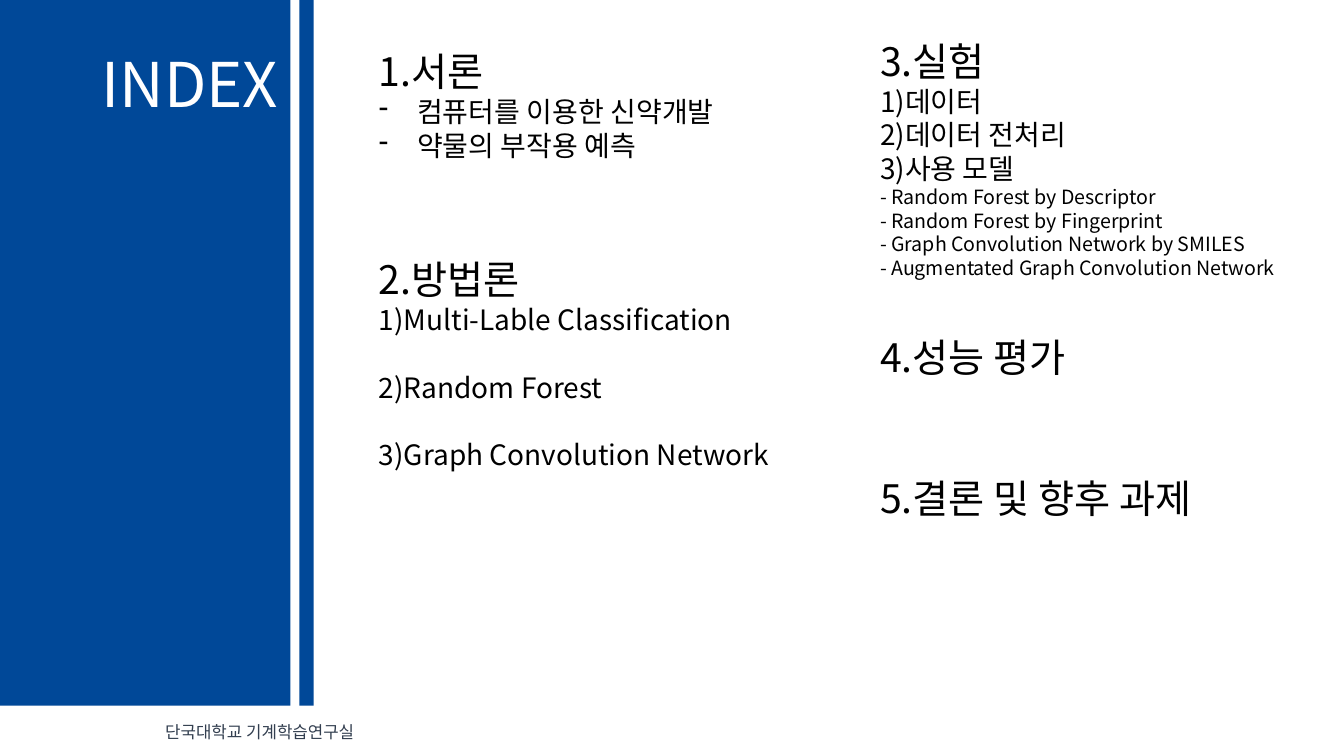
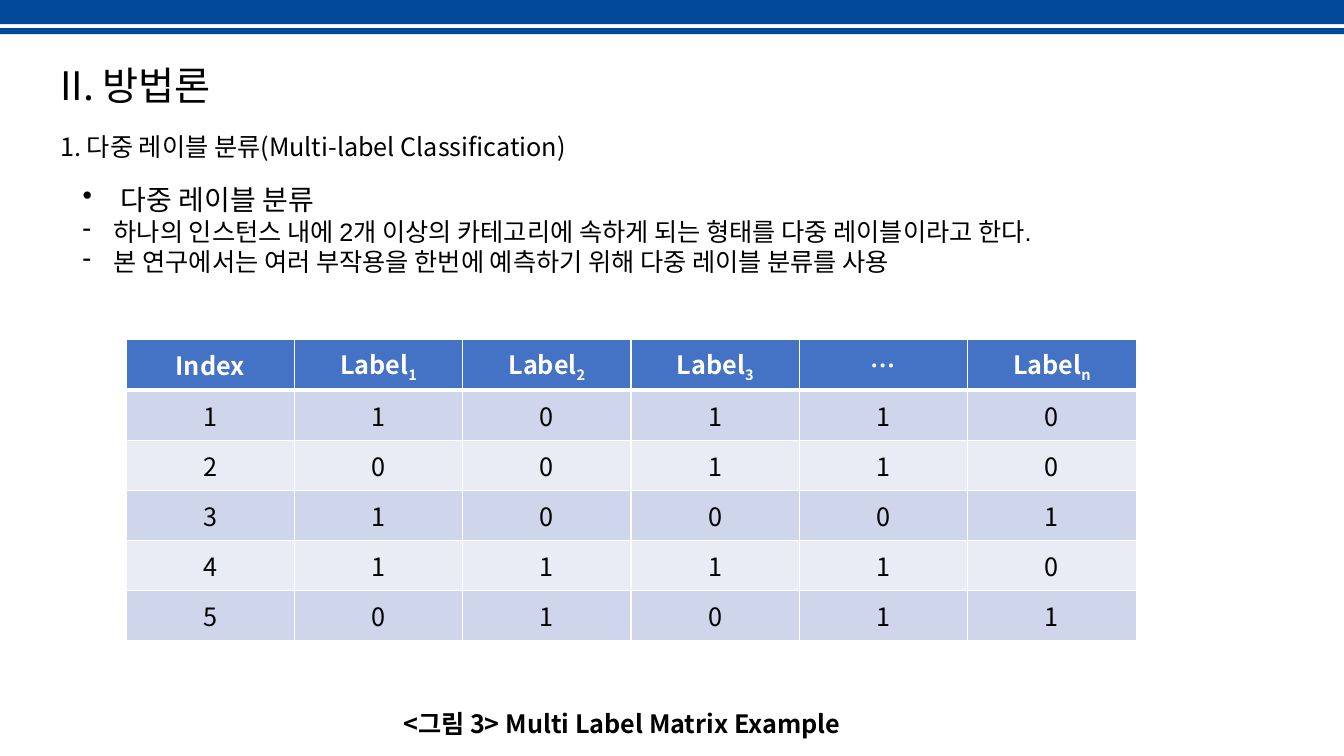
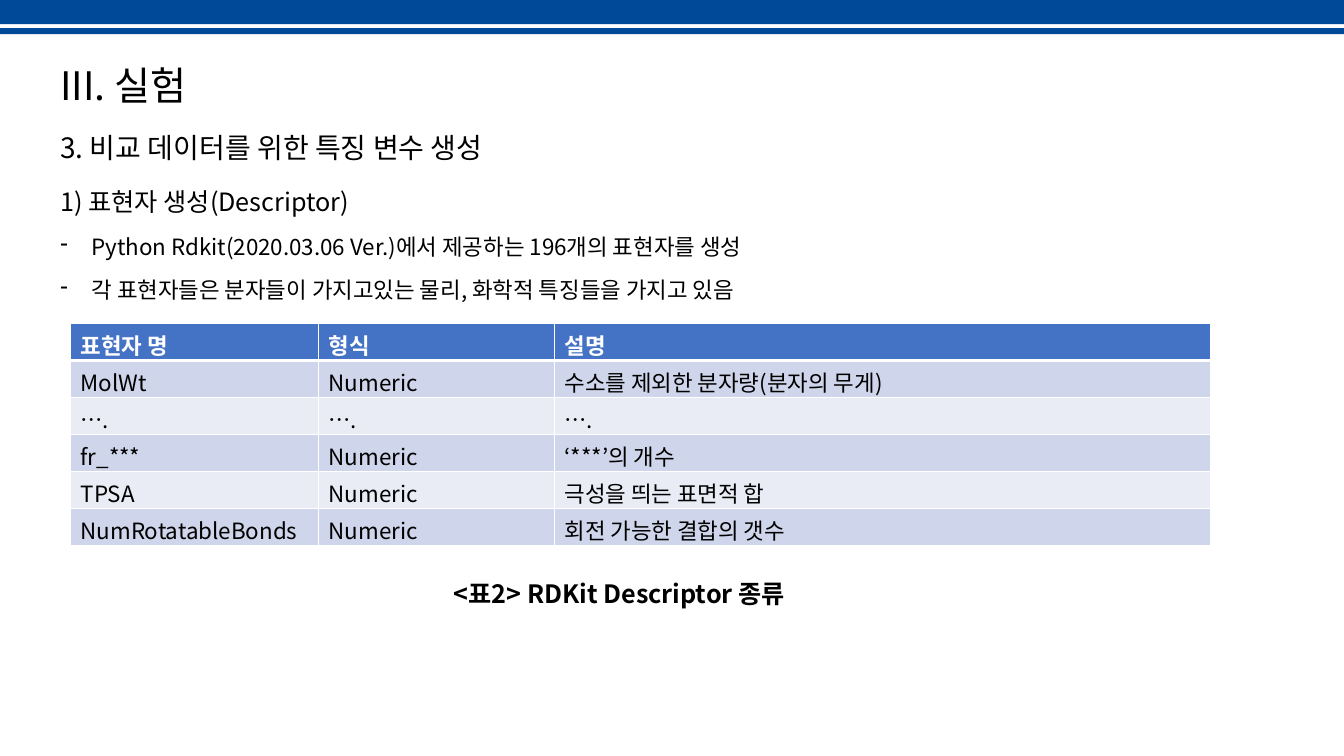
from lxml.etree import SubElement
from pptx import Presentation
from pptx.dml.color import RGBColor
from pptx.enum.shapes import MSO_SHAPE
from pptx.enum.text import MSO_ANCHOR, PP_ALIGN
from pptx.oxml import parse_xml
from pptx.oxml.ns import nsdecls, qn
from pptx.util import Inches, Pt

# Shared style
WIDTH, HEIGHT = 13.33, 7.5
FONT = "Noto Sans CJK KR"
BLUE, HEADER_BLUE = "004898", "4472C4"
ROW_FILLS = ("CFD5EA", "E9EBF5")
WHITE, BLACK, SLATE = "FFFFFF", "000000", "333F50"
TITLE_SIZE = 28


def color(value):
    return RGBColor.from_string(value)


def style_font(para, size, shade=BLACK, bold=False, latin=FONT):
    font = para.font
    font.name, font.size, font.bold = latin, Pt(size), bold
    font.color.rgb = color(shade)
    SubElement(font._element, qn("a:ea"), typeface=FONT)


def add_bar(page, left, top, width, height):
    bar = page.shapes.add_shape(MSO_SHAPE.RECTANGLE, Inches(left), Inches(top),
                                Inches(width), Inches(height))
    bar.shadow.inherit = False
    bar.fill.solid()
    bar.fill.fore_color.rgb = color(BLUE)
    bar.line.fill.background()


def add_text(page, left, top, width, height, lines, align=PP_ALIGN.LEFT,
             spacing=1.0, wrap=True, **font):
    """Each line is (text, size) plus optional bullet, indent and before."""
    box = page.shapes.add_textbox(Inches(left), Inches(top), Inches(width), Inches(height))
    frame = box.text_frame
    frame.word_wrap = wrap
    for index, (text, size, *extra) in enumerate(lines):
        options = extra[0] if extra else {}
        para = frame.paragraphs[0] if index == 0 else frame.add_paragraph()
        para.text = text
        para.alignment = align
        para.line_spacing = spacing
        if "before" in options:
            para.space_before = Pt(options["before"])
        if "bullet" in options:
            indent = Inches(options["indent"])
            properties = para._p.get_or_add_pPr()
            properties.set("marL", str(indent))
            properties.set("indent", str(-indent))
            SubElement(properties, qn("a:buChar"), char=options["bullet"])
        style_font(para, size, **font)


def add_caption(page, left, top, width, text):
    add_text(page, left, top, width, 0.62, [(text, 18)], align=PP_ALIGN.JUSTIFY,
             spacing=2.0, wrap=False, bold=True)


def set_borders(cell, row):
    properties = cell._tc.get_or_add_tcPr()
    widths = {"L": 1, "R": 1, "T": 3 if row == 1 else 1, "B": 3 if row == 0 else 1}
    for index, (side, points) in enumerate(widths.items()):
        properties.insert(index, parse_xml(
            f'<a:ln{side} {nsdecls("a")} w="{Pt(points)}"><a:solidFill>'
            f'<a:srgbClr val="{WHITE}"/></a:solidFill></a:ln{side}>'))


def add_grid(page, left, top, column_widths, height, rows, size, align):
    """A cell is a text, or a (text, subscript) pair."""
    table = page.shapes.add_table(len(rows), len(column_widths), Inches(left), Inches(top),
                                  Inches(sum(column_widths)), Inches(height)).table
    for column, width in zip(table.columns, column_widths):
        column.width = Inches(width)
    for row, values in enumerate(rows):
        header = row == 0
        for column, value in enumerate(values):
            cell = table.cell(row, column)
            cell.vertical_anchor = MSO_ANCHOR.MIDDLE
            cell.fill.solid()
            cell.fill.fore_color.rgb = color(HEADER_BLUE if header else ROW_FILLS[(row - 1) % 2])
            set_borders(cell, row)
            para = cell.text_frame.paragraphs[0]
            para.alignment = align
            text, *subscripts = (value,) if isinstance(value, str) else value
            para.add_run().text = text
            for subscript in subscripts:
                span = para.add_run()
                span.text = subscript
                span.font._element.set("baseline", "-25000")
            style_font(para, size, WHITE if header else BLACK, bold=header)


def add_content_page(deck, title, subtitle, subtitle_size):
    page = deck.slides.add_slide(deck.slide_layouts[6])
    add_bar(page, 0, 0, WIDTH, 0.24)
    add_bar(page, 0, 0.28, WIDTH, 0.06)
    add_text(page, 0.5, 0.56, 4.77, 0.57, [(title, TITLE_SIZE)])
    add_text(page, 0.5, 1.25, 6, 0.42, [(subtitle, subtitle_size)])
    return page


def add_index_page(deck):
    page = deck.slides.add_slide(deck.slide_layouts[6])
    add_bar(page, 0, 0, 2.88, 7)
    add_bar(page, 2.97, 0, 0.14, 7)
    add_text(page, 1.54, 7.11, 4.47, 0.3, [("단국대학교 기계학습연구실", 12)], shade=SLATE)
    add_text(page, 0.38, 0.49, 3.01, 1.61, [("INDEX", 44)], align=PP_ALIGN.CENTER,
             spacing=0.9, shade=WHITE)

    # Contents in two columns
    dash = {"bullet": "-", "indent": 0.38}
    add_text(page, 3.66, 0.42, 4.9, 4.88, [
        ("1.서론", 28),
        ("컴퓨터를 이용한 신약개발", 20, dash),
        ("약물의 부작용 예측", 20, dash),
        ("2.방법론", 28, {"before": 67.2}),
        ("1)Multi-Lable Classification", 20),
        ("2)Random Forest", 20, {"before": 24}),
        ("3)Graph Convolution Network", 20, {"before": 24}),
    ])
    add_text(page, 8.63, 0.32, 4.6, 4.95, [
        ("3.실험", 28),
        ("1)데이터", 20),
        ("2)데이터 전처리", 20),
        ("3)사용 모델", 20),
        ("- Random Forest by Descriptor", 14),
        ("- Random Forest by Fingerprint", 14),
        ("- Graph Convolution Network by SMILES", 14),
        ("- Augmentated Graph Convolution Network", 14),
        ("4.성능 평가", 28, {"before": 38.4}),
        ("5.결론 및 향후 과제", 28, {"before": 67.2}),
    ])


def add_method_page(deck):
    page = add_content_page(deck, "II. 방법론", "1. 다중 레이블 분류(Multi-label Classification)", 18)
    dash = {"bullet": "-", "indent": 0.31}
    add_text(page, 0.72, 1.76, 11.62, 1.35, [
        ("다중 레이블 분류", 20, {"bullet": "•", "indent": 0.38}),
        ("하나의 인스턴스 내에 2개 이상의 카테고리에 속하게 되는 형태를 다중 레이블이라고 한다.", 18, dash),
        ("본 연구에서는 여러 부작용을 한번에 예측하기 위해 다중 레이블 분류를 사용", 18, dash),
    ], latin="Arial")
    add_caption(page, 3.9, 6.68, 4.72, "<그림 3> Multi Label Matrix Example")
    labels = ["Index", ("Label", "1"), ("Label", "2"), ("Label", "3"), "…", ("Label", "n")]
    matrix = ["110110", "200110", "310001", "411110", "501011"]
    add_grid(page, 1.25, 3.37, [1.67] * 6, 2.99, [labels, *matrix], 18, PP_ALIGN.CENTER)


def add_experiment_page(deck):
    page = add_content_page(deck, "III. 실험", "3. 비교 데이터를 위한 특징 변수 생성", 20)
    dash = {"bullet": "-", "indent": 0.31}
    add_text(page, 0.5, 1.62, 7.8, 1.5, [
        ("1) 표현자 생성(Descriptor)", 18),
        ("Python Rdkit(2020.03.06 Ver.)에서 제공하는 196개의 표현자를 생성", 16, dash),
        ("각 표현자들은 분자들이 가지고있는 물리, 화학적 특징들을 가지고 있음", 16, dash),
    ], align=PP_ALIGN.JUSTIFY, spacing=1.6)
    add_grid(page, 0.7, 3.21, [2.46, 2.34, 6.51], 2.2, [
        ("표현자 명", "형식", "설명"),
        ("MolWt", "Numeric", "수소를 제외한 분자량(분자의 무게)"),
        ("….", "….", "…."),
        ("fr_***", "Numeric", "‘***’의 개수"),
        ("TPSA", "Numeric", "극성을 띄는 표면적 합"),
        ("NumRotatableBonds", "Numeric", "회전 가능한 결합의 갯수"),
    ], 16, PP_ALIGN.LEFT)
    add_caption(page, 4.4, 5.39, 3.67, "<표2> RDKit Descriptor 종류")


def main():
    deck = Presentation()
    deck.slide_width, deck.slide_height = Inches(WIDTH), Inches(HEIGHT)
    add_index_page(deck)
    add_method_page(deck)
    add_experiment_page(deck)
    deck.save("out.pptx")


if __name__ == "__main__":
    main()
